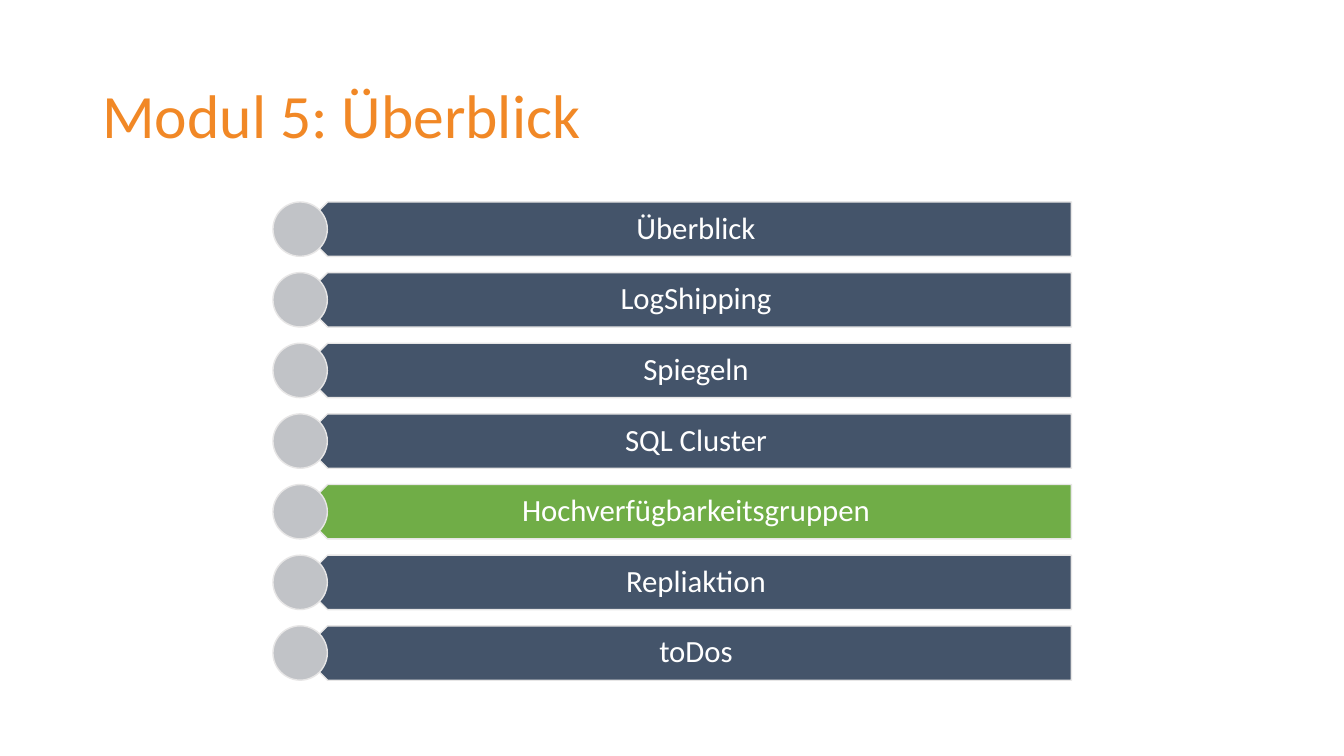
from pptx import Presentation
from pptx.dml.color import RGBColor
from pptx.enum.shapes import MSO_SHAPE
from pptx.enum.text import MSO_ANCHOR, PP_ALIGN
from pptx.util import Cm, Pt

PENTAGON, CIRCLE = MSO_SHAPE.PENTAGON, MSO_SHAPE.OVAL
MIDDLE = MSO_ANCHOR.MIDDLE
LEFT, CENTER = PP_ALIGN.LEFT, PP_ALIGN.CENTER

ORANGE = RGBColor(0xF1, 0x88, 0x26)
NAVY = RGBColor(0x44, 0x54, 0x6A)
GREEN = RGBColor(0x70, 0xAD, 0x47)
GRAY = RGBColor(0xC1, 0xC3, 0xC7)
PALE = RGBColor(0xE7, 0xE6, 0xE6)
WHITE = RGBColor(0xFF, 0xFF, 0xFF)

TOPICS = ["Überblick", "LogShipping", "Spiegeln", "SQL Cluster",
          "Hochverfügbarkeitsgruppen", "Repliaktion", "toDos"]
CURRENT_TOPIC = "Hochverfügbarkeitsgruppen"

# Agenda grid in centimetres
FIRST_TOP, ROW_STEP, ROW_HEIGHT = 5.09, 1.78, 1.37
CIRCLE_LEFT = 6.88
BAR_LEFT, BAR_WIDTH = 7.57, 19.43
LABEL_LEFT, LABEL_WIDTH = 7.91, 19.08


class SlideBuilder:
    """Holds the style and the current slide."""

    font_name = "Calibri"
    line_spacing = 0.9
    outline_color = PALE
    outline_width = Pt(1)

    def __init__(self, slide):
        self.slide = slide

    def shape(self, kind, left, top, width, height, fill, rotation=0):
        shape = self.slide.shapes.add_shape(
            kind, Cm(left), Cm(top), Cm(width), Cm(height))
        shape.shadow.inherit = False
        shape.rotation = rotation
        shape.fill.solid()
        shape.fill.fore_color.rgb = fill
        shape.line.color.rgb = self.outline_color
        shape.line.width = self.outline_width

    def text(self, content, left, top, width, height, size, color,
             align=LEFT, side_margins=(0.25, 0.25)):
        box = self.slide.shapes.add_textbox(
            Cm(left), Cm(top), Cm(width), Cm(height))
        frame = box.text_frame
        frame_format = {
            "word_wrap": True,
            "vertical_anchor": MIDDLE,
            "margin_left": Cm(side_margins[0]),
            "margin_right": Cm(side_margins[1]),
        }
        for name, value in frame_format.items():
            setattr(frame, name, value)
        para = frame.paragraphs[0]
        para.alignment = align
        para.line_spacing = self.line_spacing
        span = para.add_run()
        span.text = content
        span_format = {"name": self.font_name, "size": Pt(size)}
        for name, value in span_format.items():
            setattr(span.font, name, value)
        span.font.color.rgb = color

    def agenda_row(self, topic, top, fill):
        # The bar is turned so that its tip points left, behind the circle
        self.shape(PENTAGON, BAR_LEFT, top, BAR_WIDTH, ROW_HEIGHT, fill, 180)
        self.text(topic, LABEL_LEFT, top, LABEL_WIDTH, ROW_HEIGHT, 22, WHITE,
                  CENTER, (0.61, 0.43))
        self.shape(CIRCLE, CIRCLE_LEFT, top, ROW_HEIGHT, ROW_HEIGHT, GRAY)


def main():
    deck = Presentation()
    deck.slide_width, deck.slide_height = Cm(33.87), Cm(19.05)
    page = SlideBuilder(deck.slides.add_slide(deck.slide_layouts[6]))

    # Title
    page.text("Modul 5: Überblick", 2.33, 1.27, 29.21, 3.43, 44, ORANGE)

    # Agenda with the current topic highlighted
    for index, topic in enumerate(TOPICS):
        fill = GREEN if topic == CURRENT_TOPIC else NAVY
        page.agenda_row(topic, FIRST_TOP + index * ROW_STEP, fill)

    deck.save("out.pptx")


if __name__ == "__main__":
    main()
